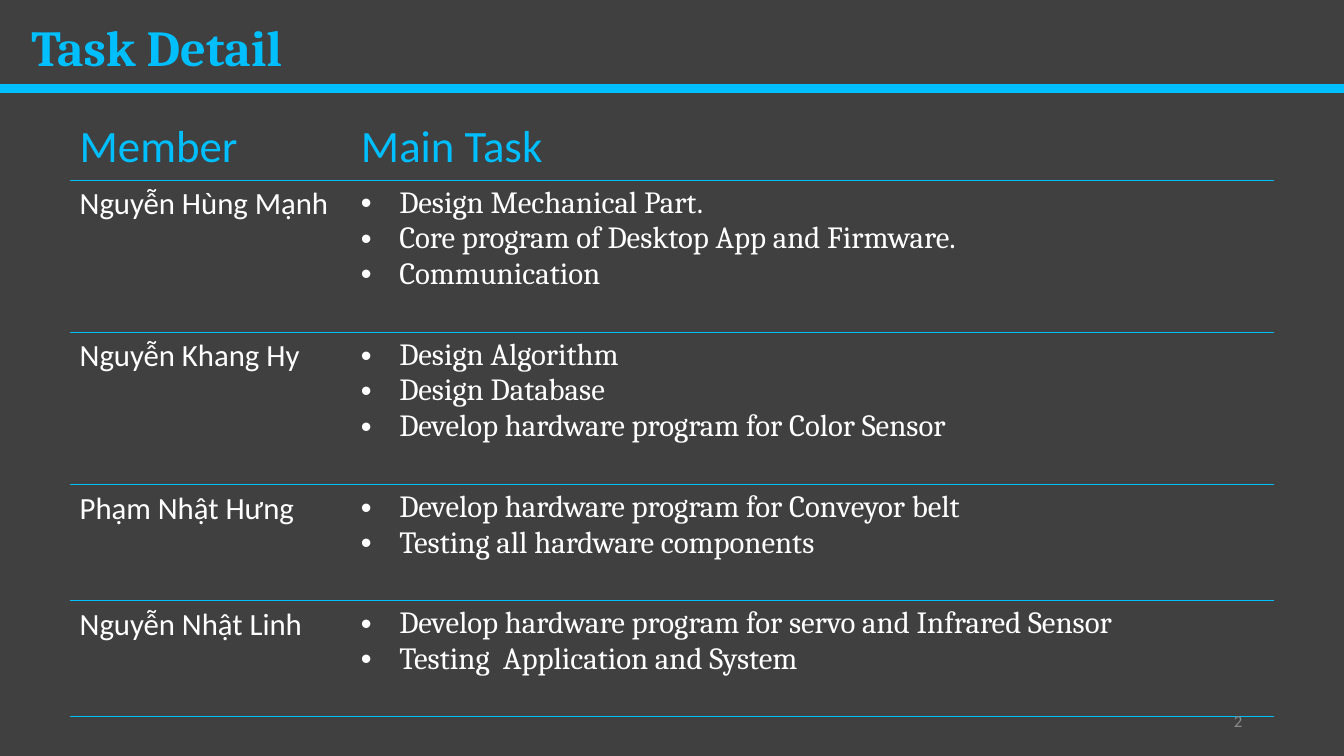
"""Build the Task Detail slide: a title bar and a table of members and tasks."""
from dataclasses import dataclass

import pptx
import pptx.dml.color
import pptx.enum.shapes
import pptx.enum.text
import pptx.oxml
import pptx.oxml.ns
import pptx.util
from lxml import etree

Inches = pptx.util.Inches
COLORS = {"background": "404040", "accent": "00BFFF", "text": "FFFFFF", "muted": "8C8C8C"}
NO_GRID_STYLE = "{2D5ABB26-0587-4C30-8999-92F81FD0307C}"
HEADINGS = ("Member", "Main Task")
COLUMN_WIDTHS = (2.79, 9.16)
HEADER_HEIGHT = 0.65


@dataclass(frozen=True)
class Assignment:
    """A team member, their tasks and the height of their row."""
    member: str
    tasks: tuple[str, ...]
    height: float


ASSIGNMENTS = (
    Assignment("Nguyễn Hùng Mạnh", (
        "Design Mechanical Part.",
        "Core program of Desktop App and Firmware.",
        "Communication"), 1.51),
    Assignment("Nguyễn Khang Hy", (
        "Design Algorithm",
        "Design Database",
        "Develop hardware program for Color Sensor"), 1.51),
    Assignment("Phạm Nhật Hưng", (
        "Develop hardware program for Conveyor belt",
        "Testing all hardware components"), 1.15),
    Assignment("Nguyễn Nhật Linh", (
        "Develop hardware program for servo and Infrared Sensor",
        "Testing  Application and System"), 1.15),
)


def rgb(name: str) -> pptx.dml.color.RGBColor:
    """Look up a named colour."""
    return pptx.dml.color.RGBColor.from_string(COLORS[name])


def set_font(paragraph, family: str, size: float, color: str, bold: bool = False) -> None:
    """Format a whole paragraph."""
    font = paragraph.font
    font.name, font.size, font.bold = family, pptx.util.Pt(size), bold
    font.color.rgb = rgb(color)


def add_bullet(paragraph) -> None:
    """Give a paragraph a hanging bullet."""
    properties = paragraph._p.get_or_add_pPr()
    properties.set("marL", str(Inches(0.38)))
    properties.set("indent", str(-Inches(0.38)))
    etree.SubElement(properties, pptx.oxml.ns.qn("a:buFont"), typeface="Arial")
    etree.SubElement(properties, pptx.oxml.ns.qn("a:buChar"), char="•")


def underline_cell(cell) -> None:
    """Rule the bottom edge of a cell and clear its fill."""
    edge = pptx.oxml.parse_xml(
        f'<a:lnB {pptx.oxml.ns.nsdecls("a")} w="{pptx.util.Pt(1)}"><a:solidFill>'
        f'<a:srgbClr val="{COLORS["accent"]}"/></a:solidFill></a:lnB>')
    cell._tc.get_or_add_tcPr().append(edge)
    cell.fill.background()


def add_title(slide) -> None:
    """Fill the title placeholder and draw the bar under it."""
    title = slide.shapes.title
    title.left, title.top, title.width, title.height = map(Inches, (0, 0, 3.11, 0.92))
    frame = title.text_frame
    frame.text = "Task Detail"
    frame.auto_size = pptx.enum.text.MSO_AUTO_SIZE.NONE
    frame.vertical_anchor = pptx.enum.text.MSO_ANCHOR.MIDDLE
    frame.paragraphs[0].alignment = pptx.enum.text.PP_ALIGN.CENTER
    set_font(frame.paragraphs[0], "Cambria", 36, "accent", bold=True)

    bar = slide.shapes.add_connector(
        pptx.enum.shapes.MSO_CONNECTOR.STRAIGHT,
        Inches(0), Inches(0.88), Inches(13.33), Inches(0.88))
    bar.line.color.rgb = rgb("accent")
    bar.line.width = pptx.util.Pt(6)
    etree.SubElement(bar._element.spPr, pptx.oxml.ns.qn("a:effectLst"))


def add_assignments(slide) -> None:
    """Add the table of members and their tasks."""
    heights = [HEADER_HEIGHT] + [assignment.height for assignment in ASSIGNMENTS]
    table = slide.shapes.add_table(
        len(heights), len(HEADINGS), Inches(0.69), Inches(1.14),
        Inches(sum(COLUMN_WIDTHS)), Inches(sum(heights))).table
    table.horz_banding = False
    table._tbl.tblPr.find(pptx.oxml.ns.qn("a:tableStyleId")).text = NO_GRID_STYLE
    for column, width in zip(table.columns, COLUMN_WIDTHS):
        column.width = Inches(width)
    for row, height in zip(table.rows, heights):
        row.height = Inches(height)

    for index, heading in enumerate(HEADINGS):
        cell = table.cell(0, index)
        cell.text = heading
        set_font(cell.text_frame.paragraphs[0], "Calibri", 32, "accent")
    for index, assignment in enumerate(ASSIGNMENTS, start=1):
        member, tasks = table.cell(index, 0), table.cell(index, 1)
        member.text = assignment.member
        set_font(member.text_frame.paragraphs[0], "Calibri", 22, "text")
        tasks.text = "\n".join(assignment.tasks)
        for paragraph in tasks.text_frame.paragraphs:
            add_bullet(paragraph)
            set_font(paragraph, "Cambria", 22, "text")

    for cell in table.iter_cells():
        underline_cell(cell)


def add_page_number(slide) -> None:
    """Add the page number at the lower right."""
    frame = slide.shapes.add_textbox(
        Inches(9.42), Inches(6.95), Inches(3), Inches(0.4)).text_frame
    frame.word_wrap = True
    frame.vertical_anchor = pptx.enum.text.MSO_ANCHOR.MIDDLE
    frame.text = "2"
    frame.paragraphs[0].alignment = pptx.enum.text.PP_ALIGN.RIGHT
    set_font(frame.paragraphs[0], "Calibri", 12, "muted")


def main() -> None:
    """Create and save the presentation."""
    deck = pptx.Presentation()
    deck.slide_width, deck.slide_height = Inches(13.33), Inches(7.5)
    slide = deck.slides.add_slide(deck.slide_layouts.get_by_name("Title Only"))
    slide.background.fill.solid()
    slide.background.fill.fore_color.rgb = rgb("background")
    add_title(slide)
    add_assignments(slide)
    add_page_number(slide)
    deck.save("out.pptx")


if __name__ == "__main__":
    main()
